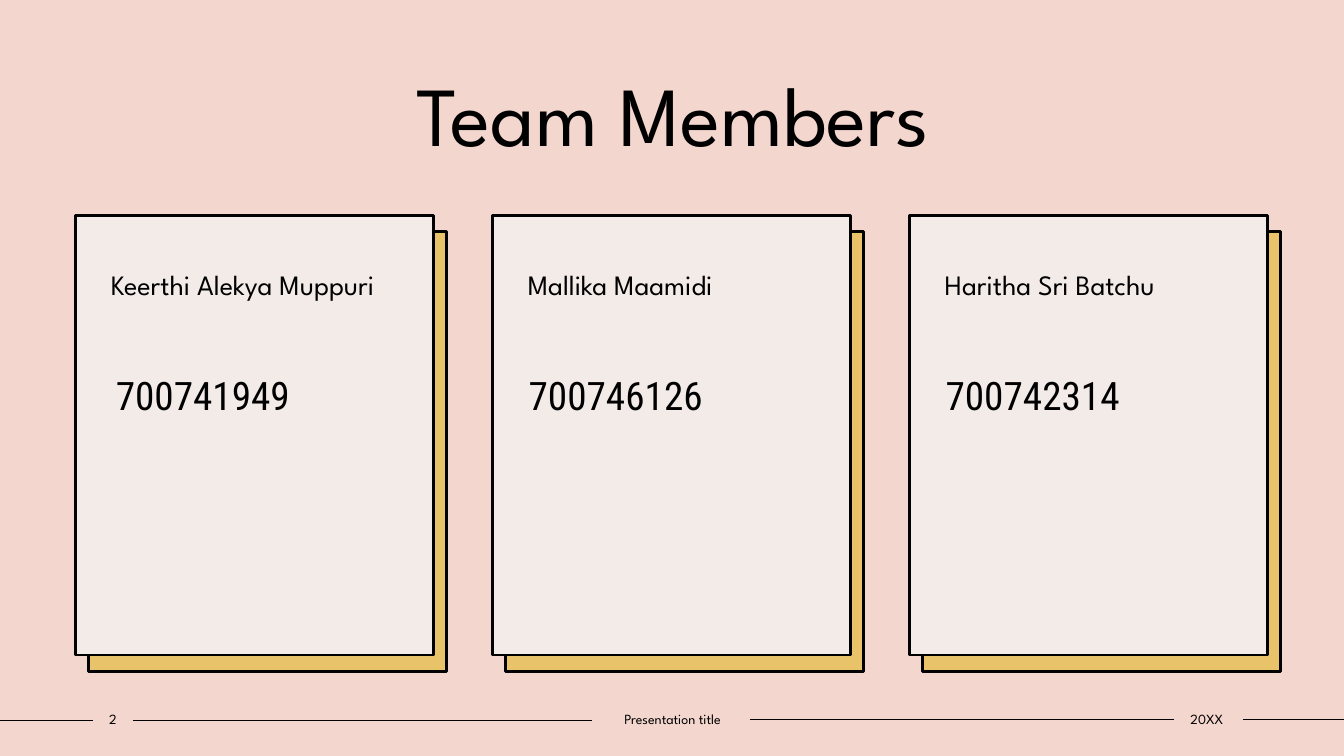
from lxml.etree import SubElement
from pptx import Presentation
from pptx.dml.color import RGBColor
from pptx.enum.shapes import MSO_CONNECTOR, MSO_SHAPE
from pptx.enum.text import MSO_ANCHOR, PP_ALIGN
from pptx.oxml.ns import qn
from pptx.util import Inches, Pt

COLORS = {
    "background": "F3D6CD",
    "card": "F3EBE8",
    "backing": "E9C369",
    "ink": "000000",
}
HEADING_FONT = "League Spartan"
NUMBER_FONT = "Roboto Condensed"
SLIDE_WIDTH, SLIDE_HEIGHT = Inches(13.33), Inches(7.5)

# Lengths below are percentages of the slide's width or height
CARD_LEFT, CARD_TOP, CARD_PITCH = 5.63, 28.53, 31.02
CARD_WIDTH, CARD_HEIGHT = 26.63, 58.13
BACKING_RIGHT, BACKING_DOWN = 0.98, 2.13

# Name, number, indent of the number within the card
MEMBERS = [
    ("Keerthi Alekya Muppuri", "700741949", 2.25),
    ("Mallika Maamidi", "700746126", 1.95),
    ("Haritha Sri Batchu", "700742314", 1.95),
]
# Start, end, height of each rule
FOOTER_RULES = [
    (0, 6.9, 95.33),
    (9.9, 44.04, 95.33),
    (55.81, 87.32, 95.2),
    (92.5, 100, 95.2),
]
# Wording, left, width
FOOTER_LABELS = [
    ("2", 6.9, 3),
    ("Presentation title", 44.04, 12),
    ("20XX", 87.17, 5.25),
]


def across(percent):
    return round(SLIDE_WIDTH * percent / 100)


def down(percent):
    return round(SLIDE_HEIGHT * percent / 100)


def place(left, top, width, height):
    return across(left), down(top), across(width), down(height)


def color(name):
    return RGBColor.from_string(COLORS[name])


def write(frame, text, *, size, font=HEADING_FONT, align=PP_ALIGN.LEFT,
          anchor=MSO_ANCHOR.TOP, insets=(0.1, 0.05, 0.1, 0.05), spacing=1.0):
    frame.word_wrap = True
    frame.vertical_anchor = anchor
    (frame.margin_left, frame.margin_top,
     frame.margin_right, frame.margin_bottom) = map(Inches, insets)
    paragraph = frame.paragraphs[0]
    paragraph.alignment = align
    paragraph.line_spacing = spacing
    run = paragraph.add_run()
    run.text = text
    run.font.name = font
    run.font.size = Pt(size)
    run.font.color.rgb = color("ink")


def add_label(slide, box, text, **text_format):
    label = slide.shapes.add_textbox(*place(*box))
    write(label.text_frame, text, **text_format)


def add_panel(slide, left, top, fill):
    panel = slide.shapes.add_shape(
        MSO_SHAPE.RECTANGLE, *place(left, top, CARD_WIDTH, CARD_HEIGHT))
    panel.shadow.inherit = False
    panel.fill.solid()
    panel.fill.fore_color.rgb = color(fill)
    panel.line.color.rgb = color("ink")
    panel.line.width = Pt(2)
    return panel


def add_rule(slide, start, end, height):
    rule = slide.shapes.add_connector(
        MSO_CONNECTOR.STRAIGHT,
        across(start), down(height), across(end), down(height))
    rule.line.color.rgb = color("ink")
    rule.line.width = Pt(1)
    SubElement(rule.element.spPr, qn("a:effectLst"))


def add_member(slide, left, name, number, indent):
    add_panel(slide, left + BACKING_RIGHT, CARD_TOP + BACKING_DOWN, "backing")
    card = add_panel(slide, left, CARD_TOP, "card")
    write(card.text_frame, name, size=20, spacing=0.9,
          insets=(0.35, 0.55, 0.1, 0.05))
    add_label(slide, (left + indent, 48.4, 20.2, 9.33), number,
              size=28, font=NUMBER_FONT)


def main():
    deck = Presentation()
    deck.slide_width, deck.slide_height = SLIDE_WIDTH, SLIDE_HEIGHT
    slide = deck.slides.add_slide(deck.slide_layouts[6])
    slide.background.fill.solid()
    slide.background.fill.fore_color.rgb = color("background")

    # Title
    add_label(slide, (9.38, 7.47, 81.32, 14.8), "Team Members", size=60,
              align=PP_ALIGN.CENTER, anchor=MSO_ANCHOR.MIDDLE)

    # Member cards
    for column, member in enumerate(MEMBERS):
        add_member(slide, CARD_LEFT + column * CARD_PITCH, *member)

    # Footer
    for rule in FOOTER_RULES:
        add_rule(slide, *rule)
    for text, left, width in FOOTER_LABELS:
        add_label(slide, (left, 93.33, width, 3.6), text, size=10,
                  align=PP_ALIGN.CENTER, anchor=MSO_ANCHOR.MIDDLE,
                  insets=(0, 0.05, 0, 0.05))

    deck.save("out.pptx")


if __name__ == "__main__":
    main()
